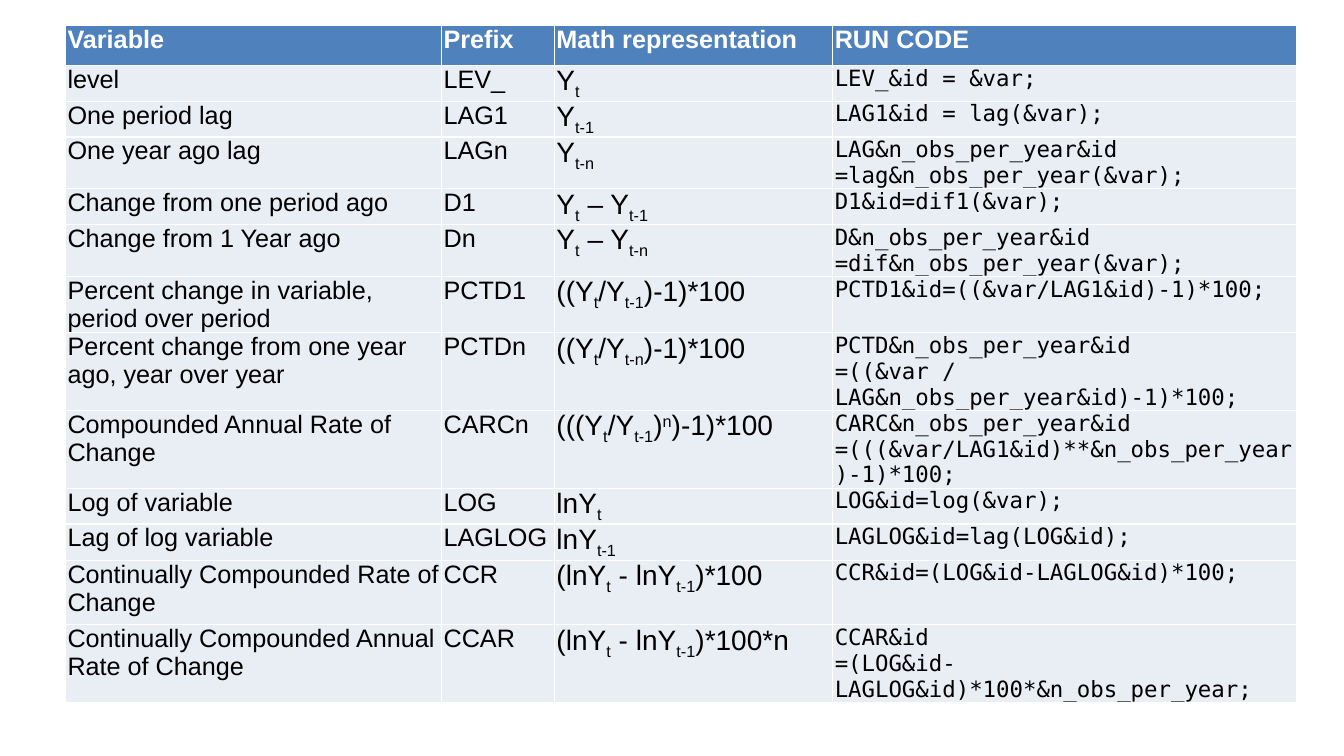
from dataclasses import dataclass

from pptx import Presentation
from pptx.dml.color import RGBColor
from pptx.slide import Slide
from pptx.util import Emu, Pt

EMU_PER_PX = 9144
COLORS = {"header": "4F81BD", "body": "E9EDF4", "white": "FFFFFF", "black": "000000"}
BASELINES = {"_": "-25000", "^": "30000"}
COLUMN_WIDTHS = [373, 112, 276, 460]
ROW_HEIGHTS = [40, 24, 24, 24, 24, 24, 52, 52, 58, 18, 36, 64, 70]
COLUMN_STYLES = [("Arial", 18, 6), ("Arial", 18, 6), ("Arial", 20, 6), ("DejaVu Sans Mono", 16, 0)]
HEADER_STYLE = ("Arial", 18, 6)
ROWS = [
    ("Variable", "Prefix", "Math representation", "RUN CODE"),
    ("level", "LEV_", "Y|_t", "LEV_&id = &var;"),
    ("One period lag", "LAG1", "Y|_t-1", "LAG1&id = lag(&var);"),
    ("One year ago lag", "LAGn", "Y|_t-n",
     "LAG&n_obs_per_year&id\n=lag&n_obs_per_year(&var);"),
    ("Change from one period ago", "D1", "Y|_t| – Y|_t-1", "D1&id=dif1(&var);"),
    ("Change from 1 Year ago", "Dn", "Y|_t| – Y|_t-n",
     "D&n_obs_per_year&id\n=dif&n_obs_per_year(&var);"),
    ("Percent change in variable, period over period", "PCTD1",
     "((Y|_t|/Y|_t-1|)-1)*100", "PCTD1&id=((&var/LAG1&id)-1)*100;"),
    ("Percent change from one year ago, year over year", "PCTDn",
     "((Y|_t|/Y|_t-n|)-1)*100",
     "PCTD&n_obs_per_year&id\n=((&var / LAG&n_obs_per_year&id)-1)*100;"),
    ("Compounded Annual Rate of Change", "CARCn",
     "(((Y|_t|/Y|_t-1|)|^n|)-1)*100",
     "CARC&n_obs_per_year&id\n=(((&var/LAG1&id)**&n_obs_per_year )-1)*100;"),
    ("Log of variable", "LOG", "lnY|_t", "LOG&id=log(&var);"),
    ("Lag of log variable", "LAGLOG", "lnY|_t-1", "LAGLOG&id=lag(LOG&id);"),
    ("Continually Compounded Rate of Change", "CCR",
     "(lnY|_t| - lnY|_t-1|)*100", "CCR&id=(LOG&id-LAGLOG&id)*100;"),
    ("Continually Compounded Annual Rate of Change", "CCAR",
     "(lnY|_t| - lnY|_t-1|)*100*n",
     "CCAR&id\n=(LOG&id-LAGLOG&id)*100*&n_obs_per_year;"),
]


def px(length):
    return Emu(length * EMU_PER_PX)


@dataclass
class SlideBuilder:
    """Draw styled table elements on one slide, with lengths in px."""

    slide: Slide
    colors: dict

    def color(self, name):
        return RGBColor.from_string(self.colors[name])

    def table(self, left, top, widths, heights, rows):
        frame = self.slide.shapes.add_table(
            len(rows), len(widths), px(left), px(top), px(sum(widths)), px(sum(heights)))
        table = frame.table
        table.horz_banding = False
        for column, width in zip(table.columns, widths):
            column.width = px(width)
        for row_index, (row, height, texts) in enumerate(zip(table.rows, heights, rows)):
            row.height = px(height)
            is_header = row_index == 0
            for cell, text, style in zip(row.cells, texts, COLUMN_STYLES):
                self.cell(cell, text, HEADER_STYLE if is_header else style, is_header)

    def cell(self, cell, text, style, is_header):
        cell.fill.solid()
        cell.fill.fore_color.rgb = self.color("header" if is_header else "body")
        cell.margin_left = cell.margin_right = px(2)
        cell.margin_top = cell.margin_bottom = 0
        for index, line in enumerate(text.split("\n")):
            text_frame = cell.text_frame
            paragraph = text_frame.add_paragraph() if index else text_frame.paragraphs[0]
            self.line(paragraph, line, style, is_header)

    def line(self, paragraph, line, style, is_header):
        font_name, size, space_after = style
        paragraph.space_after = Pt(space_after)
        for piece in line.split("|"):
            baseline = BASELINES.get(piece[0])
            run = paragraph.add_run()
            run.text = piece[1:] if baseline else piece
            run.font.name = font_name
            run.font.size = Pt(size)
            run.font.bold = is_header
            run.font.color.rgb = self.color("white" if is_header else "black")
            if baseline:
                run._r.get_or_add_rPr().set("baseline", baseline)


def main():
    presentation = Presentation()
    presentation.slide_width = px(1333)
    presentation.slide_height = px(750)
    slide = presentation.slides.add_slide(presentation.slide_layouts[6])
    builder = SlideBuilder(slide, COLORS)
    builder.table(65, 25, COLUMN_WIDTHS, ROW_HEIGHTS, ROWS)
    presentation.save("out.pptx")


if __name__ == "__main__":
    main()
